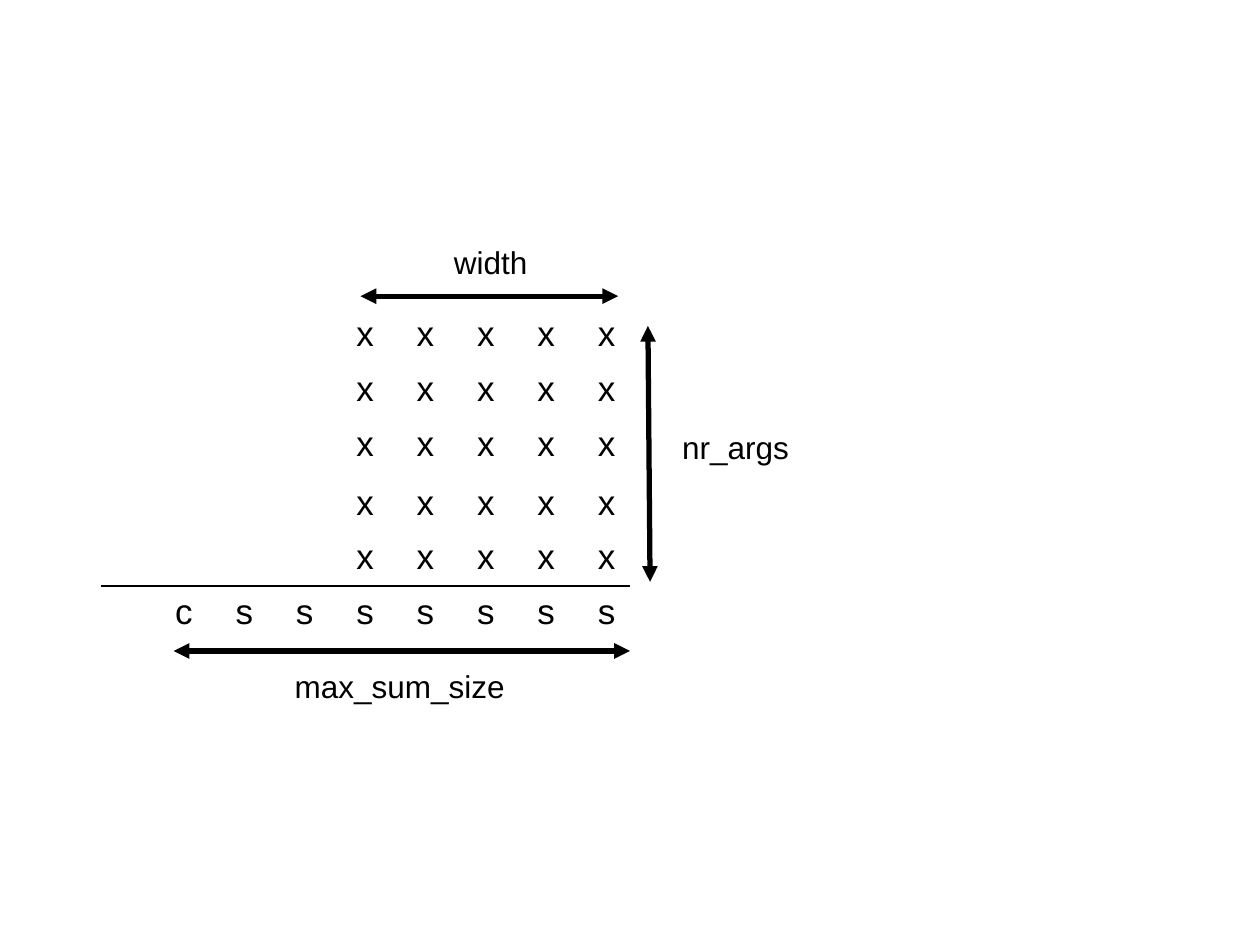
from lxml import etree
from pptx import Presentation
from pptx.dml.color import RGBColor
from pptx.enum.shapes import MSO_CONNECTOR
from pptx.enum.text import MSO_AUTO_SIZE
from pptx.oxml import parse_xml
from pptx.oxml.ns import nsdecls, qn
from pptx.util import Pt

STRAIGHT = MSO_CONNECTOR.STRAIGHT
FIT_SHAPE = MSO_AUTO_SIZE.SHAPE_TO_FIT_TEXT
BLACK = "000000"


def color(value):
    return RGBColor.from_string(value)


def write(para, text, size):
    span = para.add_run()
    span.text = text
    for name, value in {"name": "Arial", "size": Pt(size)}.items():
        setattr(span.font, name, value)
    span.font.color.rgb = color(BLACK)


deck = Presentation()
deck.slide_width, deck.slide_height = Pt(720), Pt(540)
slide = deck.slides.add_slide(deck.slide_layouts[6])

# Addition grid: five argument rows above the sum row
row_heights = [31, 31.5, 34, 31, 31, 31]
column_widths = [34.5] * 8 + [25.5]
argument_count = 5
rows = [[""] * 4 + ["x"] * 5] * argument_count + [["", "c"] + ["s"] * 7]
table = slide.shapes.add_table(
    len(rows), len(column_widths), Pt(58.4), Pt(176.5),
    Pt(sum(column_widths)), Pt(sum(row_heights))).table
for option in ("first_row", "horz_banding"):
    setattr(table, option, False)
for column, width in zip(table.columns, column_widths):
    column.width = Pt(width)
for row, height in zip(table.rows, row_heights):
    row.height = Pt(height)

# The rule lies between the last argument and the sum
rule_sides = {argument_count - 1: "lnB", argument_count: "lnT"}
for row_index, letters in enumerate(rows):
    for column_index, letter in enumerate(letters):
        cell = table.cell(row_index, column_index)
        cell.fill.background()
        if letter:
            write(cell.text_frame.paragraphs[0], letter, 20)
        if row_index in rule_sides:
            side = rule_sides[row_index]
            border = parse_xml(
                f'<a:{side} {nsdecls("a")} w="{Pt(1.08)}"><a:solidFill>'
                f'<a:srgbClr val="{BLACK}"/></a:solidFill></a:{side}>')
            cell._tc.get_or_add_tcPr().insert(0, border)

# Dimension arrows: start x, start y, end x, end y
arrows = [
    (206, 169.25, 353.25, 169.25),
    (371.5, 332.5, 370.25, 186.25),
    (99.25, 372, 360, 372),
]
for ends in arrows:
    arrow = slide.shapes.add_connector(STRAIGHT, *[Pt(end) for end in ends])
    arrow.line.width = Pt(3)
    arrow.line.color.rgb = color(BLACK)
    line = arrow.line._get_or_add_ln()
    for tag in ("a:headEnd", "a:tailEnd"):
        etree.SubElement(line, qn(tag), type="triangle")
    etree.SubElement(arrow._element.spPr, qn("a:effectLst"))

# Dimension labels: text, left, top, width
labels = [
    ("width", 252.25, 135.5, 58),
    ("nr_args", 382.75, 241, 77),
    ("max_sum_size", 161.25, 377.5, 136.5),
]
for text, left, top, width in labels:
    box = slide.shapes.add_textbox(Pt(left), Pt(top), Pt(width), Pt(29))
    for name, value in {"word_wrap": False, "auto_size": FIT_SHAPE}.items():
        setattr(box.text_frame, name, value)
    write(box.text_frame.paragraphs[0], text, 18)

deck.save("out.pptx")
